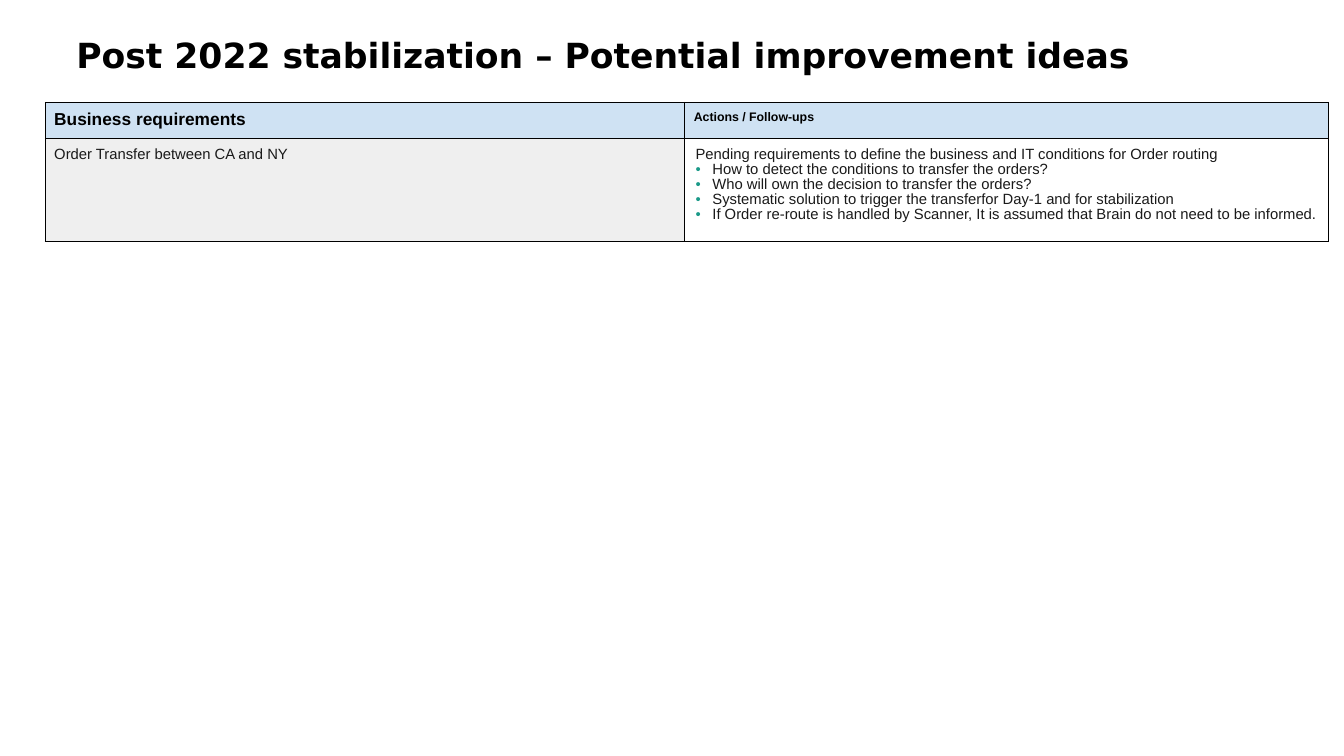
from lxml.etree import SubElement
from pptx import Presentation
from pptx.dml.color import RGBColor
from pptx.enum.text import MSO_ANCHOR
from pptx.oxml.ns import qn
from pptx.util import Pt

TITLE = "Post 2022 stabilization – Potential improvement ideas"
TITLE_FORMAT = {"name": "DejaVu Sans", "size": Pt(28), "bold": True}
BODY_FORMAT = {"name": "Arial", "size": Pt(12), "bold": False}
HEADER_FORMAT = {"name": "Arial", "size": Pt(14), "bold": True}
SMALL_HEADER_FORMAT = HEADER_FORMAT | {"size": Pt(10)}

BLACK, INK, TEAL = "000000", "1A1A1A", "1A9988"
HEADER_FILL, REQUIREMENT_FILL, ACTION_FILL = "CFE2F3", "EFEFEF", "FFFFFF"

# Each paragraph: text, left indent in px, bulleted
ACTIONS = [("Pending requirements to define the business and IT conditions for Order routing", 2, False)] + [
    (point, 21, True) for point in (
        "How to detect the conditions to transfer the orders?",
        "Who will own the decision to transfer the orders?",
        "Systematic solution to trigger the transferfor Day-1 and for stabilization",
        "If Order re-route is handled by Scanner, It is assumed that Brain do not need to be informed.",
    )
]

# Each cell: paragraphs, font format, font colour, fill
REQUIREMENTS = [
    [([("Business requirements", 0, False)], HEADER_FORMAT, BLACK, HEADER_FILL),
     ([("Actions / Follow-ups", 0, False)], SMALL_HEADER_FORMAT, BLACK, HEADER_FILL)],
    [([("Order Transfer between CA and NY", 0, False)], BODY_FORMAT, INK, REQUIREMENT_FILL),
     (ACTIONS, BODY_FORMAT, INK, ACTION_FILL)],
]

EMU_PER_PX = 9144  # 100 px to the inch
SLIDE_SIZE = 1511, 850
TITLE_BOX = 76, 14, 1352, 95
TABLE_LEFT, TABLE_TOP = 51, 115
COLUMN_WIDTHS = 719, 724
ROW_HEIGHTS = 37, 116
INSET, BULLET_HANG = 10, 19


def px(length):
    return length * EMU_PER_PX


MARGINS = {f"margin_{side}": px(INSET) for side in ("left", "right", "top", "bottom")}


def rgb(color):
    return RGBColor.from_string(color)


def set_all(target, values):
    for attribute, value in values.items():
        setattr(target, attribute, value)


def add_text(paragraph, text, font_format, color):
    run = paragraph.add_run()
    run.text = text
    set_all(run.font, font_format)
    run.font.color.rgb = rgb(color)


def indent(paragraph, left, bulleted):
    properties = paragraph._p.get_or_add_pPr()
    properties.set("marL", str(px(left)))
    properties.set("indent", str(-px(BULLET_HANG) if bulleted else 0))
    if bulleted:
        paragraph.level = 1
        bullet_color = SubElement(properties, qn("a:buClr"))
        SubElement(bullet_color, qn("a:srgbClr"), val=TEAL)
        SubElement(properties, qn("a:buFont"), typeface="Arial")
        SubElement(properties, qn("a:buChar"), char="•")


def add_borders(cell):
    properties = cell._tc.get_or_add_tcPr()
    for side in ("lnL", "lnR", "lnT", "lnB"):
        border = SubElement(properties, qn(f"a:{side}"), w=str(Pt(1)))
        SubElement(SubElement(border, qn("a:solidFill")), qn("a:srgbClr"), val=BLACK)


def fill_cell(cell, paragraphs, font_format, color, fill):
    set_all(cell, MARGINS)
    add_borders(cell)
    cell.fill.solid()
    cell.fill.fore_color.rgb = rgb(fill)
    frame = cell.text_frame
    for number, (text, left, bulleted) in enumerate(paragraphs):
        paragraph = frame.add_paragraph() if number else frame.paragraphs[0]
        paragraph.line_spacing = 0.9
        indent(paragraph, left, bulleted)
        add_text(paragraph, text, font_format, color)


def add_title(slide):
    frame = slide.shapes.add_textbox(*map(px, TITLE_BOX)).text_frame
    set_all(frame, MARGINS | {"word_wrap": True, "vertical_anchor": MSO_ANCHOR.MIDDLE})
    add_text(frame.paragraphs[0], TITLE, TITLE_FORMAT, BLACK)


def add_requirements(slide):
    bounds = TABLE_LEFT, TABLE_TOP, sum(COLUMN_WIDTHS), sum(ROW_HEIGHTS)
    table = slide.shapes.add_table(len(ROW_HEIGHTS), len(COLUMN_WIDTHS), *map(px, bounds)).table
    set_all(table, {"first_row": False, "horz_banding": False})
    for column, width in zip(table.columns, COLUMN_WIDTHS):
        column.width = px(width)
    for row, height, contents in zip(table.rows, ROW_HEIGHTS, REQUIREMENTS):
        row.height = px(height)
        for cell, content in zip(row.cells, contents):
            fill_cell(cell, *content)


def main():
    presentation = Presentation()
    presentation.slide_width, presentation.slide_height = map(px, SLIDE_SIZE)
    slide = presentation.slides.add_slide(presentation.slide_layouts[6])
    add_title(slide)
    add_requirements(slide)
    presentation.save("out.pptx")


if __name__ == "__main__":
    main()
